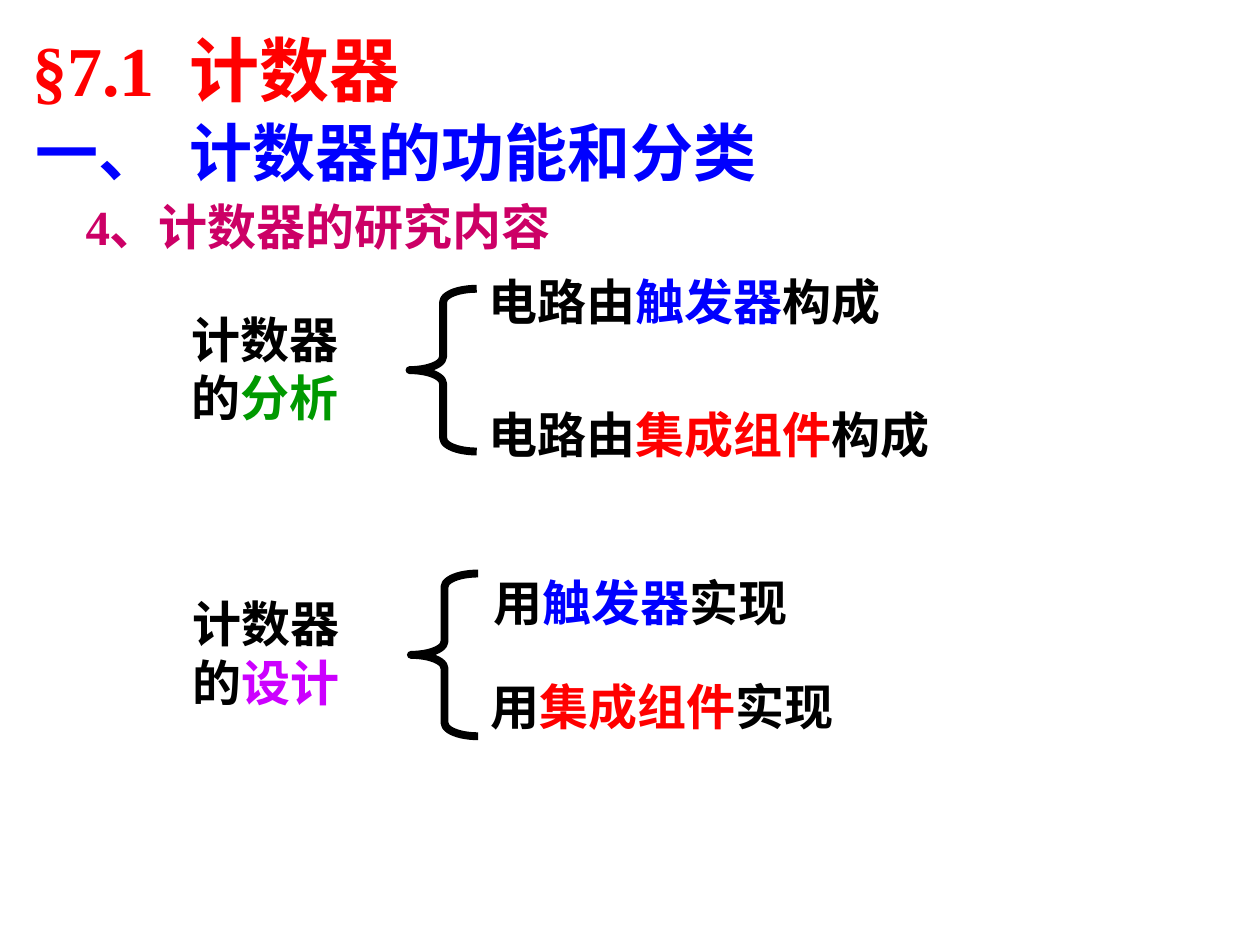
"""Build the counter research outline slide with two braced groups."""
from dataclasses import dataclass

from pptx import Presentation
from pptx.dml.color import RGBColor
from pptx.enum.shapes import MSO_SHAPE
from pptx.enum.text import MSO_ANCHOR, MSO_AUTO_SIZE
from pptx.slide import Slide
from pptx.util import Pt


@dataclass(frozen=True)
class Theme:
    font: str = "Times New Roman"
    title_size: float = 40
    section_size: float = 36
    body_size: float = 28
    spacing_ratio: float = 0.625
    brace_width: float = 4.5
    black: str = "000000"
    red: str = "FF0000"
    blue: str = "0000FF"
    green: str = "009900"
    violet: str = "CC00FF"
    crimson: str = "CC0066"


THEME = Theme()


@dataclass(frozen=True)
class Span:
    text: str
    color: str = THEME.black


@dataclass(frozen=True)
class Label:
    left: float
    top: float
    width: float
    height: float
    spans: tuple[Span, ...]
    size: float = THEME.body_size
    anchor: MSO_ANCHOR = MSO_ANCHOR.MIDDLE


@dataclass(frozen=True)
class Brace:
    left: float
    top: float
    width: float = 38.4
    height: float = 93


HEADINGS = (
    Label(11.5, 11.5, 471, 55.5, (Span("§7.1  计数器", THEME.red),),
          THEME.title_size, MSO_ANCHOR.TOP),
    Label(13, 61.2, 553.7, 50.4, (Span("一、  计数器的功能和分类", THEME.blue),),
          THEME.section_size, MSO_ANCHOR.TOP),
    Label(41.8, 108.7, 570, 41, (Span("4、计数器的研究内容", THEME.crimson),)),
)
TOPICS = (
    Label(102.2, 172.8, 123, 75, (Span("计数器的"), Span("分析", THEME.green))),
    Label(103, 335.5, 122.6, 75, (Span("计数器的"), Span("设计", THEME.violet))),
)
BRANCHES = (
    Label(272.2, 151.2, 333, 41,
          (Span("电路由"), Span("触发器", THEME.blue), Span("构成"))),
    Label(272.2, 227.5, 340.6, 41,
          (Span("电路由"), Span("集成组件", THEME.red), Span("构成"))),
    Label(275, 323.3, 288.7, 41,
          (Span("用"), Span("触发器", THEME.blue), Span("实现"))),
    Label(273.3, 383, 288.7, 41,
          (Span("用"), Span("集成组件", THEME.red), Span("实现"))),
)
BRACES = (Brace(234, 165), Brace(234.8, 327.7))


def add_label(page: Slide, label: Label) -> None:
    """Add one text box with its coloured spans."""
    box = page.shapes.add_textbox(
        Pt(label.left), Pt(label.top), Pt(label.width), Pt(label.height))
    frame = box.text_frame
    frame.word_wrap = True
    frame.auto_size = MSO_AUTO_SIZE.SHAPE_TO_FIT_TEXT
    frame.vertical_anchor = label.anchor
    para = frame.paragraphs[0]
    para.space_before = Pt(label.size * THEME.spacing_ratio)
    for span in label.spans:
        run = para.add_run()
        run.text = span.text
        run.font.name = THEME.font
        run.font.size = Pt(label.size)
        run.font.bold = True
        run.font.color.rgb = RGBColor.from_string(span.color)


def add_brace(page: Slide, brace: Brace) -> None:
    """Add one unfilled left brace."""
    shape = page.shapes.add_shape(
        MSO_SHAPE.LEFT_BRACE,
        Pt(brace.left), Pt(brace.top), Pt(brace.width), Pt(brace.height))
    shape.adjustments[0] = 0.2
    shape.shadow.inherit = False
    shape.fill.background()
    shape.line.color.rgb = RGBColor.from_string(THEME.black)
    shape.line.width = Pt(THEME.brace_width)


def main() -> None:
    """Create the deck and save it."""
    deck = Presentation()
    deck.slide_width, deck.slide_height = Pt(720), Pt(540)
    page = deck.slides.add_slide(deck.slide_layouts[6])
    for brace in BRACES:
        add_brace(page, brace)
    for label in TOPICS + BRANCHES + HEADINGS:
        add_label(page, label)
    deck.save("out.pptx")


if __name__ == "__main__":
    main()
